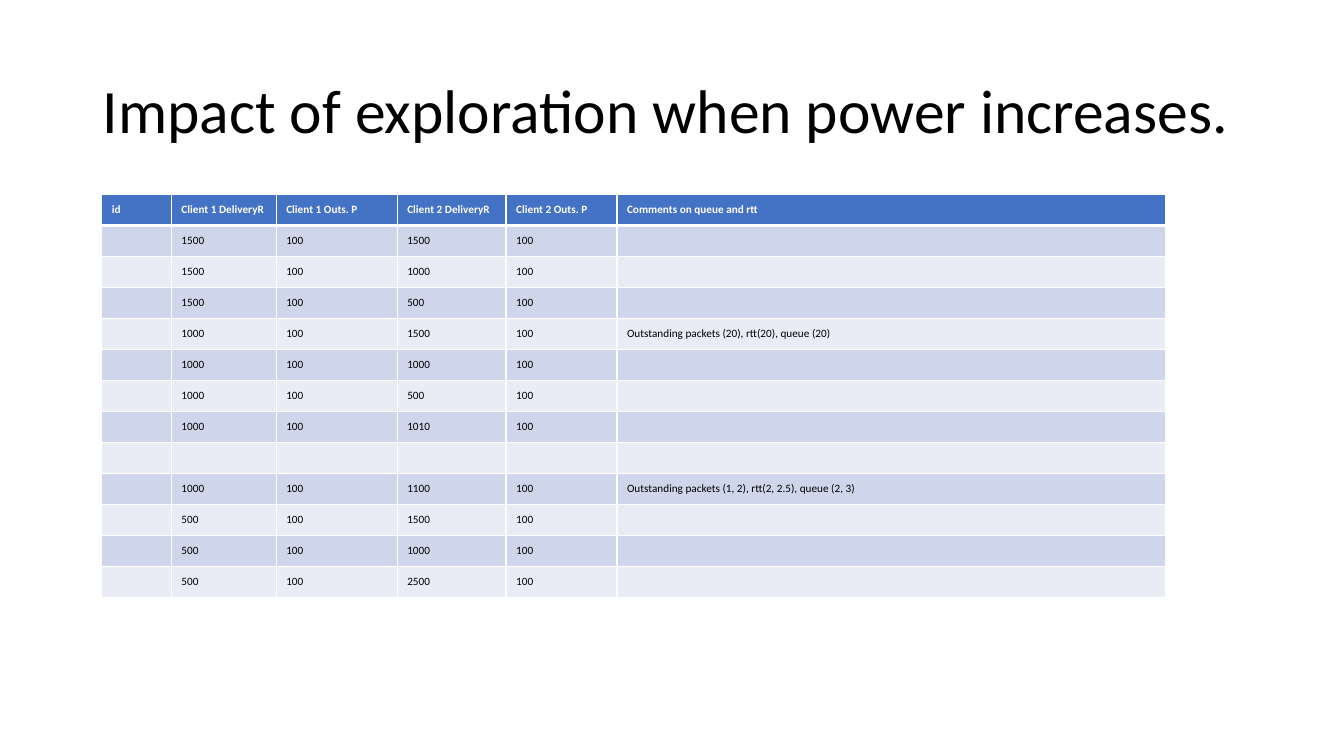
import pptx
import pptx.dml.color
import pptx.enum.text
import pptx.oxml
import pptx.oxml.ns
import pptx.util

Inches = pptx.util.Inches
Pt = pptx.util.Pt
RGBColor = pptx.dml.color.RGBColor
MIDDLE = pptx.enum.text.MSO_ANCHOR.MIDDLE

BLACK = RGBColor(0x00, 0x00, 0x00)
WHITE = RGBColor(0xFF, 0xFF, 0xFF)
BLUE = RGBColor(0x44, 0x72, 0xC4)
BANDS = [RGBColor(0xE9, 0xEB, 0xF5), RGBColor(0xCF, 0xD5, 0xEA)]
FONT = "Calibri"

COLUMN_WIDTHS = [0.69, 1.04, 1.2, 1.08, 1.1, 5.44]
HEADERS = ["id", "Client 1 DeliveryR", "Client 1 Outs. P", "Client 2 DeliveryR",
           "Client 2 Outs. P", "Comments on queue and rtt"]
RATES = [
    ("1500", "1500", ""),
    ("1500", "1000", ""),
    ("1500", "500", ""),
    ("1000", "1500", "Outstanding packets (20), rtt(20), queue (20)"),
    ("1000", "1000", ""),
    ("1000", "500", ""),
    ("1000", "1010", ""),
    None,
    ("1000", "1100", "Outstanding packets (1, 2), rtt(2, 2.5), queue (2, 3)"),
    ("500", "1500", ""),
    ("500", "1000", ""),
    ("500", "2500", ""),
]
OUTSTANDING = "100"


def table_row(rates):
    if rates is None:
        return [""] * len(HEADERS)
    client1, client2, comment = rates
    return ["", client1, OUTSTANDING, client2, OUTSTANDING, comment]


def format_font(font, size, color, bold=False):
    font.name = FONT
    font.size = Pt(size)
    font.color.rgb = color
    font.bold = bold


def add_borders(cell, bottom):
    tcPr = cell._tc.get_or_add_tcPr()
    for side, width in (("L", 1), ("R", 1), ("T", 1), ("B", bottom)):
        tcPr.append(pptx.oxml.parse_xml(
            f'<a:ln{side} {pptx.oxml.ns.nsdecls("a")} w="{Pt(width)}">'
            f'<a:solidFill><a:srgbClr val="{WHITE}"/></a:solidFill></a:ln{side}>'))


def format_cell(cell, text, fill, color, header):
    cell.margin_left = cell.margin_right = Inches(0.1)
    cell.margin_top = cell.margin_bottom = 0
    cell.vertical_anchor = MIDDLE
    add_borders(cell, 3 if header else 1)
    cell.fill.solid()
    cell.fill.fore_color.rgb = fill
    p = cell.text_frame.paragraphs[0]
    p.text = text
    for r in p.runs:
        format_font(r.font, 8, color, header)
    if not text:
        end = pptx.oxml.parse_xml(
            f'<a:endParaRPr {pptx.oxml.ns.nsdecls("a")} sz="800"/>')
        p._p.append(end)


def add_title(s, left, top, width, height, text):
    title = s.shapes.title
    title.left, title.top = Inches(left), Inches(top)
    title.width, title.height = Inches(width), Inches(height)
    tf = title.text_frame
    tf.text = text
    tf.word_wrap = True
    tf.vertical_anchor = MIDDLE
    p = tf.paragraphs[0]
    p.alignment = pptx.enum.text.PP_ALIGN.LEFT
    p.line_spacing = 0.9
    format_font(p.runs[0].font, 44, BLACK)


def add_rate_table(s, left, top, width, height):
    rows = [HEADERS] + [table_row(rates) for rates in RATES]
    table = s.shapes.add_table(len(rows), len(HEADERS), Inches(left), Inches(top),
                               Inches(width), Inches(height)).table
    for column, share in zip(table.columns, COLUMN_WIDTHS):
        column.width = Inches(width * share / sum(COLUMN_WIDTHS))
    for i, row in enumerate(rows):
        header = i == 0
        fill = BLUE if header else BANDS[i % 2]
        color = WHITE if header else BLACK
        for j, text in enumerate(row):
            format_cell(table.cell(i, j), text, fill, color, header)


def main():
    prs = pptx.Presentation()
    prs.slide_width = Inches(13.33)
    prs.slide_height = Inches(7.5)
    s = prs.slides.add_slide(prs.slide_layouts[5])
    add_title(s, 0.92, 0.4, 11.5, 1.45, "Impact of exploration when power increases.")
    add_rate_table(s, 1.01, 1.93, 10.55, 4)
    prs.save("out.pptx")


if __name__ == "__main__":
    main()
